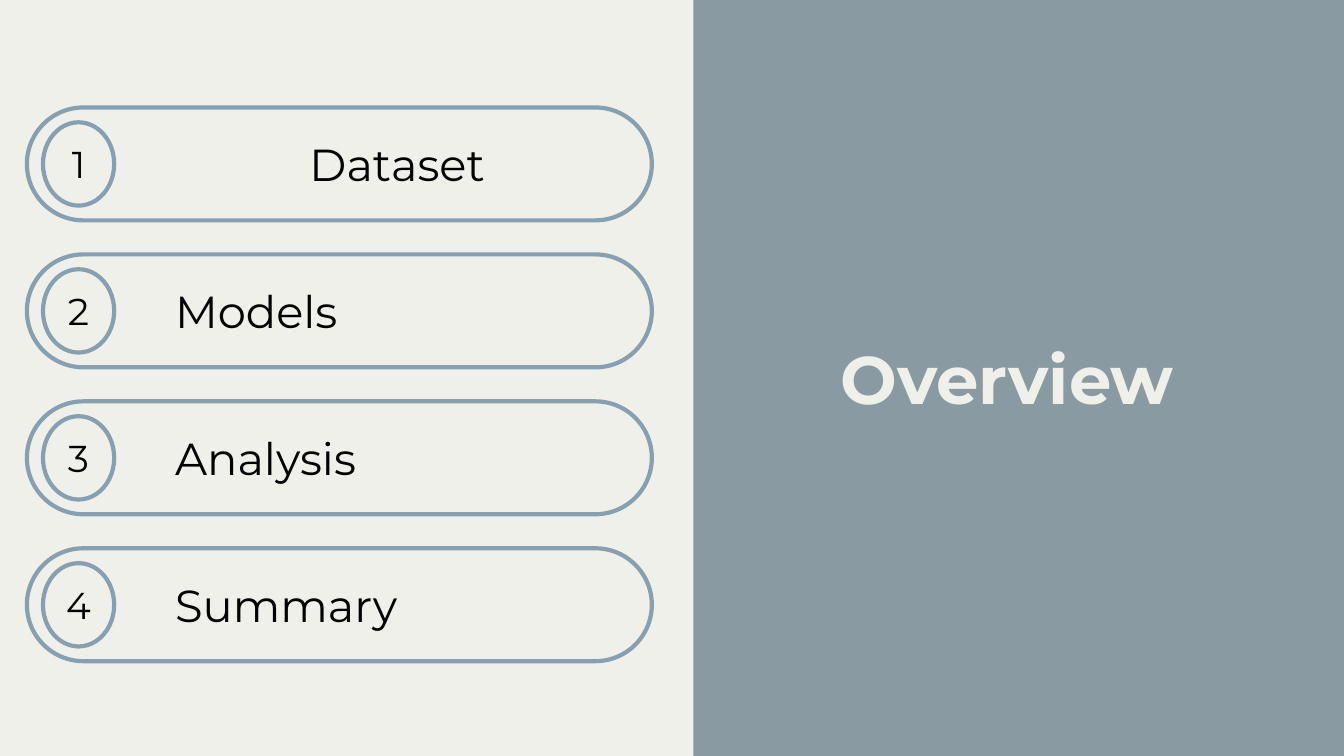
from pptx import Presentation
from pptx.dml.color import RGBColor
from pptx.enum.shapes import MSO_SHAPE
from pptx.enum.text import MSO_ANCHOR, MSO_AUTO_SIZE, PP_ALIGN
from pptx.util import Inches, Pt

RECTANGLE, PILL, OVAL = MSO_SHAPE.RECTANGLE, MSO_SHAPE.ROUNDED_RECTANGLE, MSO_SHAPE.OVAL
LEFT, CENTER = PP_ALIGN.LEFT, PP_ALIGN.CENTER
MIDDLE = MSO_ANCHOR.MIDDLE
NO_AUTOFIT = MSO_AUTO_SIZE.NONE

SLATE = RGBColor(0x89, 0x9A, 0xA3)
CREAM = RGBColor(0xEE, 0xF0, 0xE9)
BLUE = RGBColor(0x86, 0x9F, 0xB1)
BLACK = RGBColor(0, 0, 0)
FONT = "Montserrat"

# Topic and the left inset of its text, in inches
TOPICS = [("Dataset", 1.98), ("Models", 0.98), ("Analysis", 0.98), ("Summary", 0.98)]
FIRST_TOP, LAST_TOP = 0.8, 4.08
ROW_STEP = (LAST_TOP - FIRST_TOP) / (len(TOPICS) - 1)


def write_text(shape, text, *, size, color=BLACK, bold=False, align=CENTER,
               inset=0, wrap=True):
    frame = shape.text_frame
    frame.auto_size = NO_AUTOFIT
    frame.word_wrap = wrap
    frame.vertical_anchor = MIDDLE
    frame.margin_left = Inches(inset)
    frame.margin_right = frame.margin_top = frame.margin_bottom = 0
    paragraph = frame.paragraphs[0]
    paragraph.alignment = align
    run = paragraph.add_run()
    run.text = text
    run.font.name = FONT
    run.font.size = Pt(size)
    run.font.bold = bold
    run.font.color.rgb = color


class OverviewSlide:
    """Holds the slide and draws its elements in one style."""

    def __init__(self, presentation):
        self.slide = presentation.slides.add_slide(presentation.slide_layouts[5])
        self.slide.background.fill.solid()
        self.slide.background.fill.fore_color.rgb = SLATE

    def panel(self, left, top, width, height):
        shape = self.slide.shapes.add_shape(
            RECTANGLE, Inches(left), Inches(top), Inches(width), Inches(height))
        shape.shadow.inherit = False
        shape.fill.solid()
        shape.fill.fore_color.rgb = CREAM
        shape.line.fill.background()

    def title(self, text, left, top, width, height):
        title = self.slide.shapes.title
        title.left, title.top = Inches(left), Inches(top)
        title.width, title.height = Inches(width), Inches(height)
        write_text(title, text, size=36, color=CREAM, bold=True)

    def outline(self, shapes, kind, left, top, width, height):
        shape = shapes.add_shape(
            kind, Inches(left), Inches(top), Inches(width), Inches(height))
        shape.shadow.inherit = False
        shape.fill.background()
        shape.line.color.rgb = BLUE
        shape.line.width = Pt(2.25)
        return shape

    def topic(self, number, text, top, inset):
        group = self.slide.shapes.add_group_shape()
        pill = self.outline(group.shapes, PILL, 0.2, top, 4.65, 0.84)
        pill.adjustments[0] = 0.5
        write_text(pill, text, size=24, align=LEFT, inset=inset)
        badge = self.outline(group.shapes, OVAL, 0.32, top + 0.11, 0.53, 0.62)
        write_text(badge, str(number), size=20, wrap=False)


def main():
    presentation = Presentation()
    presentation.slide_width = Inches(10)
    presentation.slide_height = Inches(10 * 9 / 16)
    overview = OverviewSlide(presentation)

    # Left panel and title
    overview.panel(0, -0.02, 5.16, 5.65)
    overview.title("Overview", 5.65, 2.35, 3.69, 0.92)

    # Numbered topics
    for index, (text, inset) in enumerate(TOPICS):
        overview.topic(index + 1, text, FIRST_TOP + index * ROW_STEP, inset)

    presentation.save("out.pptx")


if __name__ == "__main__":
    main()
